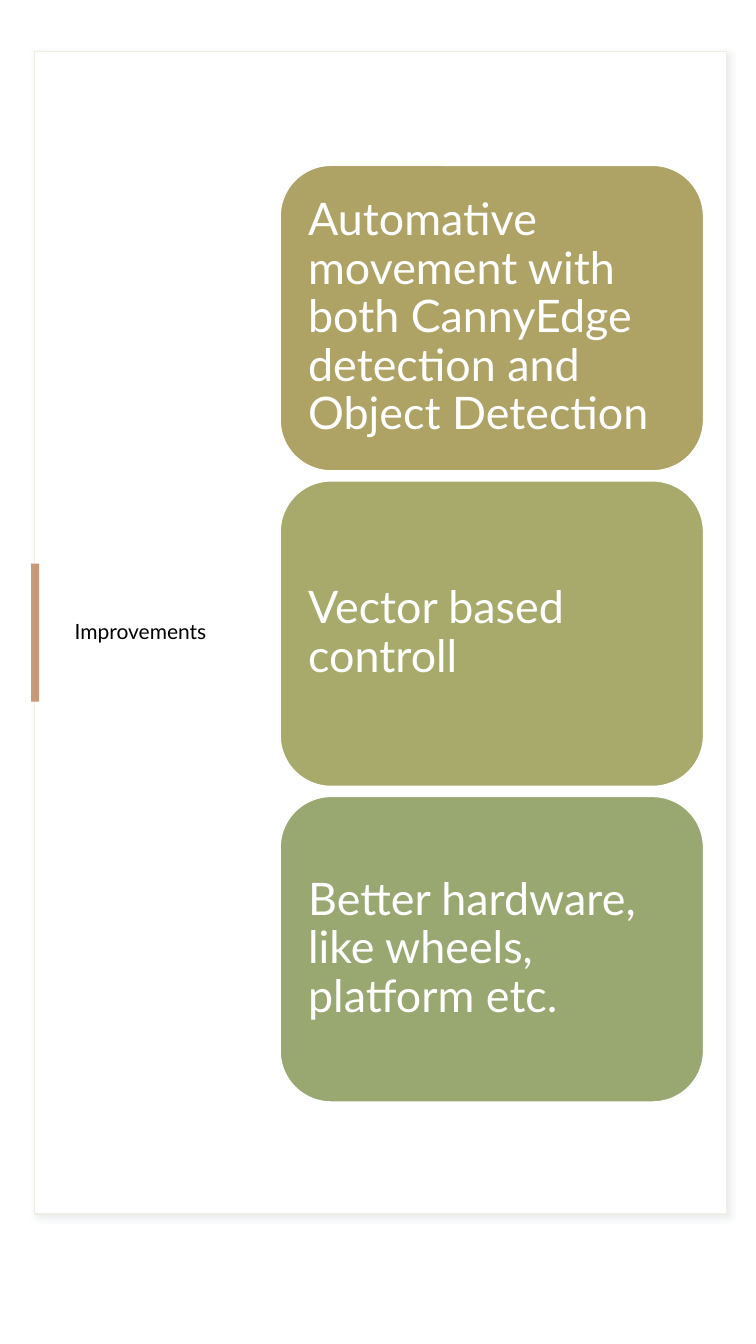
from dataclasses import dataclass

from lxml import etree
from pptx import Presentation
from pptx.dml.color import RGBColor
from pptx.enum import shapes, text
from pptx.oxml import ns
from pptx.util import Inches, Pt

COLOURS = {
    "white": "FFFFFF",
    "black": "000000",
    "frame": "F0EEE4",
    "shadow": "BCC3CA",
    "accent": "C79977",
    "sand": "AEA265",
    "olive": "A7AA6B",
    "sage": "99A771",
}
FONT = "Lato"
CARD_LEFT, CARD_TOP = 2.78, 1.64
CARD_WIDTH, CARD_HEIGHT, CARD_STEP = 4.2, 3.03, 3.13
CARD_INSET = 0.13


@dataclass
class Card:
    wording: str
    fill: str


CARDS = [
    Card("Automative movement with both CannyEdge detection and Object Detection", "sand"),
    Card("Vector based controll", "olive"),
    Card("Better hardware, like wheels, platform etc.", "sage"),
]


def colour(name: str) -> RGBColor:
    return RGBColor.from_string(COLOURS[name])


def add_block(page, kind, left: float, top: float, width: float, height: float,
              fill: str, line: str | None = None):
    block = page.shapes.add_shape(
        kind, Inches(left), Inches(top), Inches(width), Inches(height))
    block.shadow.inherit = False
    block.fill.solid()
    block.fill.fore_color.rgb = colour(fill)
    if line:
        block.line.color.rgb = colour(line)
        block.line.width = Pt(1)
    else:
        block.line.fill.background()
    return block


def write_text(shape, wording: str, size: int, ink: str) -> None:
    frame = shape.text_frame
    frame.text = wording
    frame.word_wrap = True
    frame.auto_size = text.MSO_AUTO_SIZE.NONE
    frame.vertical_anchor = text.MSO_ANCHOR.MIDDLE
    para = frame.paragraphs[0]
    para.alignment = text.PP_ALIGN.LEFT
    para.line_spacing = 0.9
    font = para.runs[0].font
    font.name = FONT
    font.size = Pt(size)
    font.color.rgb = colour(ink)


def add_shadow(shape) -> None:
    effects = shape._element.spPr.find(ns.qn("a:effectLst"))
    shadow = etree.SubElement(
        effects, ns.qn("a:outerShdw"), blurRad=str(Pt(4)), dist=str(Pt(3)),
        dir="2700000", algn="tl", rotWithShape="0")
    tint = etree.SubElement(shadow, ns.qn("a:srgbClr"), val=COLOURS["shadow"])
    etree.SubElement(tint, ns.qn("a:alpha"), val="30000")


def add_title(page, wording: str) -> None:
    title = page.shapes.title
    title.left, title.top = Inches(0.64), Inches(0.99)
    title.width, title.height = Inches(1.84), Inches(10.57)
    write_text(title, wording, 15, "black")
    page.shapes._spTree.append(title._element)


def add_card(page, card: Card, index: int) -> None:
    box = add_block(page, shapes.MSO_SHAPE.ROUNDED_RECTANGLE, CARD_LEFT,
                    CARD_TOP + index * CARD_STEP, CARD_WIDTH, CARD_HEIGHT,
                    card.fill, "white")
    write_text(box, card.wording, 32, "white")
    frame = box.text_frame
    frame.margin_left = frame.margin_right = Inches(CARD_INSET)
    frame.margin_top = frame.margin_bottom = Inches(CARD_INSET)


def main() -> None:
    deck = Presentation()
    deck.slide_width, deck.slide_height = Inches(7.5), Inches(13.33)
    page = deck.slides.add_slide(deck.slide_layouts.get_by_name("Title Only"))
    page.background.fill.solid()
    page.background.fill.fore_color.rgb = colour("white")

    rectangle = shapes.MSO_SHAPE.RECTANGLE
    panel = add_block(page, rectangle, 0.34, 0.51, 6.87, 11.53, "white", "frame")
    add_shadow(panel)
    add_title(page, "Improvements")
    add_block(page, rectangle, 0.31, 5.59, 0.08, 1.37, "accent")
    for index, card in enumerate(CARDS):
        add_card(page, card, index)
    deck.save("out.pptx")


if __name__ == "__main__":
    main()
